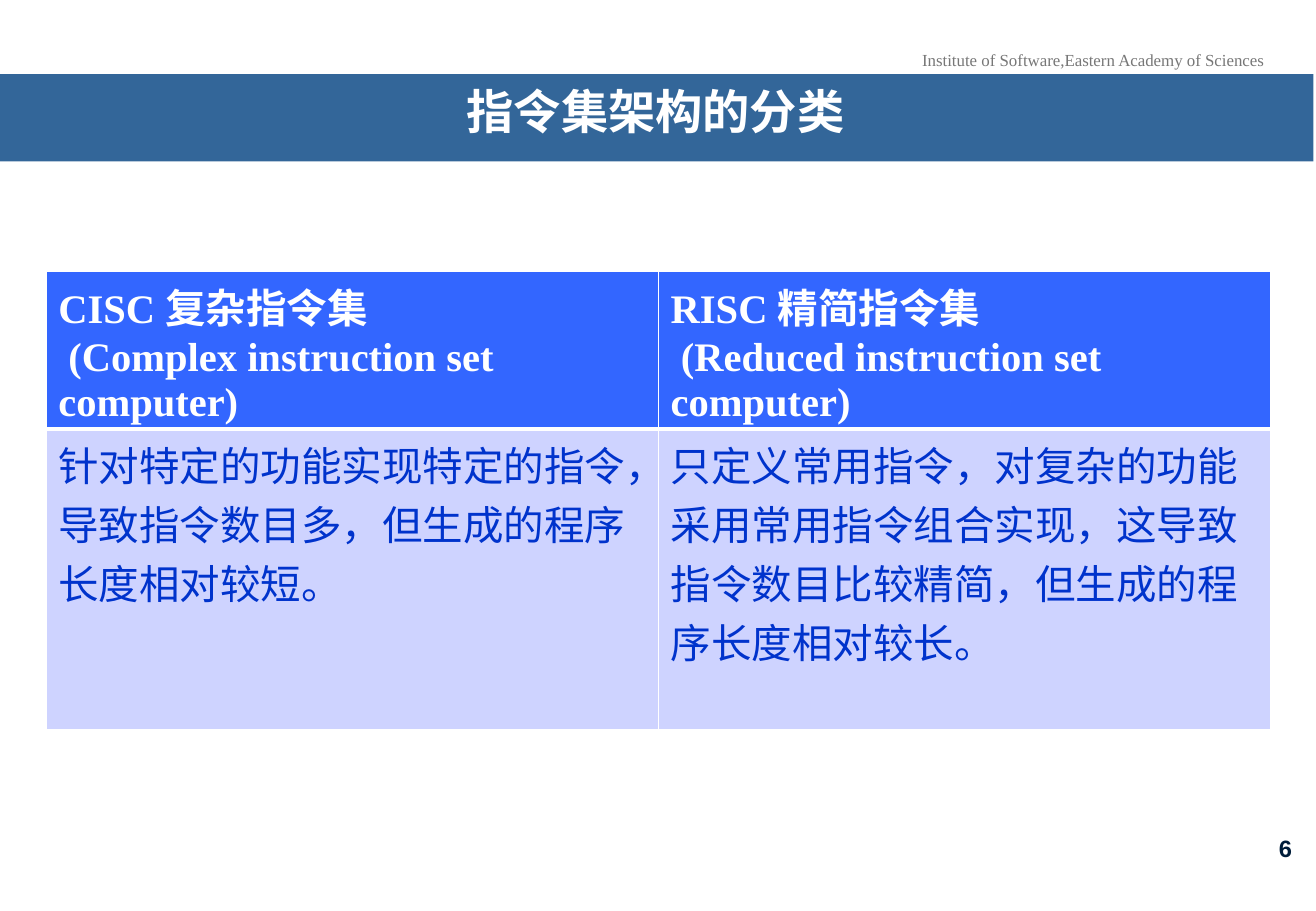
from lxml import etree
from pptx import Presentation
from pptx.dml.color import RGBColor as RGB
from pptx.enum.shapes import MSO_SHAPE as SHAPE
from pptx.enum.text import MSO_ANCHOR as ANCHOR, PP_ALIGN as ALIGN
from pptx.oxml.ns import qn
from pptx.util import Inches, Pt

COLORS = {
    "banner": "336699", "white": "FFFFFF", "institute": "777777",
    "number": "001D3A", "head": "3366FF", "body": "CED3FF", "ink": "0033CC",
}
SERIF = "Times New Roman"


def write(tf, lines, size, font, color, bold=False, align=ALIGN.LEFT):
    for i, line in enumerate(lines):
        p = tf.add_paragraph() if i else tf.paragraphs[0]
        p.alignment = align
        r = p.add_run()
        r.text = line
        r.font.size, r.font.name, r.font.bold = Pt(size), font, bold
        r.font.color.rgb = RGB.from_string(COLORS[color])


def add_border(cell, side, width):
    tag = qn(f"a:ln{side}")
    ln = etree.SubElement(cell._tc.get_or_add_tcPr(), tag, w=str(Pt(width)))
    fill = etree.SubElement(ln, qn("a:solidFill"))
    etree.SubElement(fill, qn("a:srgbClr"), val=COLORS["white"])


prs = Presentation()
prs.slide_width, prs.slide_height = Inches(10.83), Inches(7.5)
s = prs.slides.add_slide(prs.slide_layouts[6])

# Institute line
sp = s.shapes.add_textbox(Inches(7.46), Inches(0.36), Inches(3.07), Inches(0.27))
sp.text_frame.word_wrap = False
write(sp.text_frame, ["Institute of Software,Eastern Academy of Sciences"],
      10, SERIF, "institute", align=ALIGN.CENTER)

# Title banner
sp = s.shapes.add_shape(SHAPE.RECTANGLE, Inches(-0.02), Inches(0.61),
                        prs.slide_width, Inches(0.72))
sp.shadow.inherit = False
sp.fill.solid()
sp.fill.fore_color.rgb = RGB.from_string(COLORS["banner"])
sp.line.fill.background()
tf = sp.text_frame
tf.word_wrap = True
tf.vertical_anchor = ANCHOR.MIDDLE
tf.margin_left = tf.margin_right = Inches(0.31)
write(tf, ["指令集架构的分类"], 28, "Arial Narrow", "white", True, ALIGN.CENTER)
tf.paragraphs[0].line_spacing = 0.7

# Slide number
sp = s.shapes.add_textbox(Inches(8.65), Inches(6.82), Inches(2.08), Inches(0.5))
sp.text_frame.word_wrap = True
write(sp.text_frame, ["6"], 14, "Arial", "number", True, ALIGN.RIGHT)

# Comparison table: one header row, one body row
rows = [
    [["CISC 复杂指令集", " (Complex instruction set computer)"],
     ["RISC 精简指令集", " (Reduced instruction set computer)"]],
    [["针对特定的功能实现特定的指令，导致指令数目多，但生成的程序长度相对较短。"],
     ["只定义常用指令，对复杂的功能采用常用指令组合实现，这导致指令数目比较精简，"
      "但生成的程序长度相对较长。"]],
]
# Fill, text colour, bold, row height, border widths by side
styles = [
    ("head", "white", True, 1.02, {"L": 1, "R": 1, "T": 1, "B": 3}),
    ("body", "ink", False, 2.48, {"L": 1, "R": 1, "T": 3, "B": 1}),
]
table = s.shapes.add_table(2, 2, Inches(0.38), Inches(2.23),
                           Inches(10.08), Inches(3.5)).table
for y, (texts, style) in enumerate(zip(rows, styles)):
    fill, color, bold, height, borders = style
    table.rows[y].height = Inches(height)
    for x, lines in enumerate(texts):
        cell = table.cell(y, x)
        for side, width in borders.items():
            add_border(cell, side, width)
        cell.fill.solid()
        cell.fill.fore_color.rgb = RGB.from_string(COLORS[fill])
        write(cell.text_frame, lines, 24, SERIF, color, bold)

prs.save("out.pptx")
